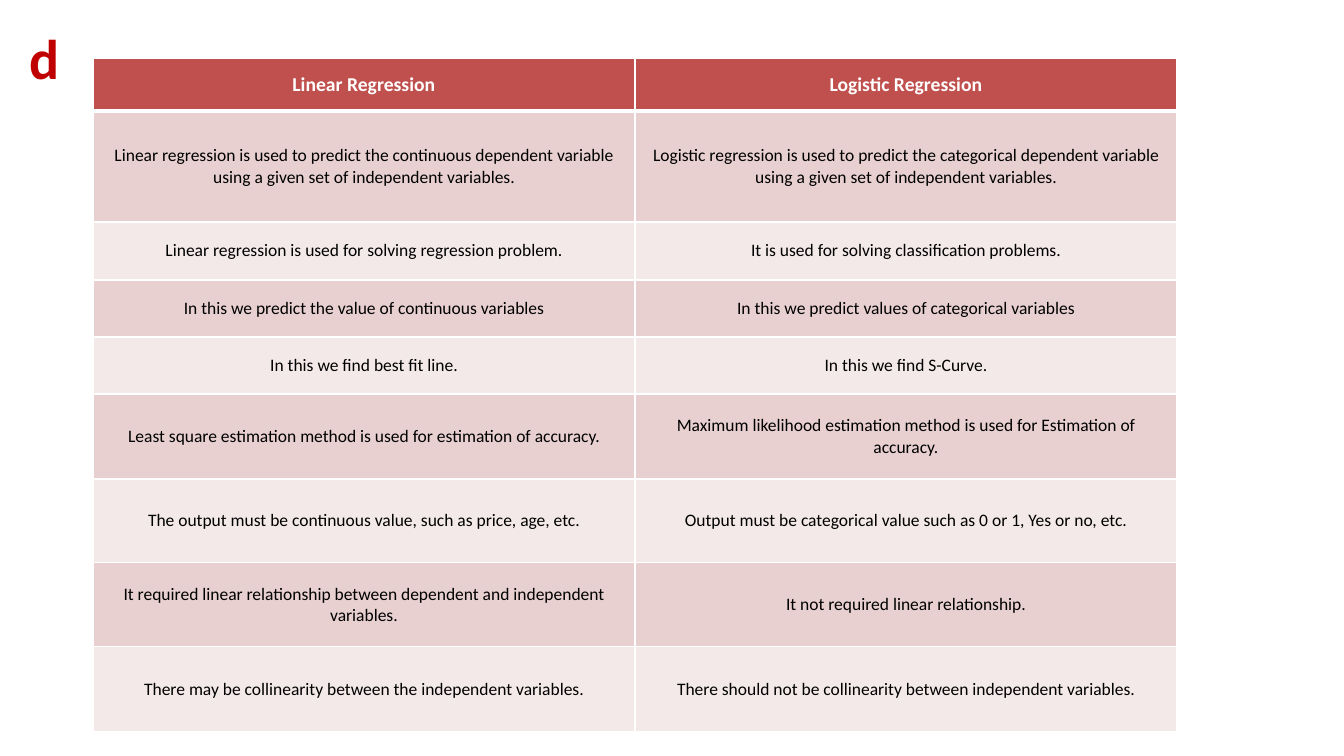
import pptx
import pptx.util
import pptx.dml.color
import pptx.enum.text
import pptx.oxml.ns
from lxml import etree

SCALE = 914400 / 100.8
HUES = {"red": "C00000", "head": "C0504D", "dark": "E8D0D0",
        "light": "F4E9E9", "white": "FFFFFF", "black": "000000"}


def px(num):
    return pptx.util.Emu(round(num * SCALE))


def write(para, text, size, hue, bold):
    run = para.add_run()
    run.text = text
    run.font.name = "Calibri"
    run.font.size = pptx.util.Pt(size)
    run.font.bold = bold
    run.font.color.rgb = pptx.dml.color.RGBColor.from_string(HUES[hue])


deck = pptx.Presentation()
deck.slide_width, deck.slide_height = px(1344), px(756)
slide = deck.slides.add_slide(deck.slide_layouts[6])

# Title
title = slide.shapes.add_textbox(px(30), px(23), px(1283), px(68)).text_frame
title.word_wrap = True
title.margin_left = title.margin_top = title.margin_right = title.margin_bottom = 0
write(title.paragraphs[0], "d", 40, "red", True)

# Table content
rows = [
    ("Linear Regression", "Logistic Regression"),
    ("Linear regression is used to predict the continuous dependent variable using a given set of independent variables.",
     "Logistic regression is used to predict the categorical dependent variable using a given set of independent variables."),
    ("Linear regression is used for solving regression problem.",
     "It is used for solving classification problems."),
    ("In this we predict the value of continuous variables",
     "In this we predict values of categorical variables"),
    ("In this we find best fit line.", "In this we find S-Curve."),
    ("Least square estimation method is used for estimation of accuracy.",
     "Maximum likelihood estimation method is used for Estimation of accuracy."),
    ("The output must be continuous value, such as price, age, etc.",
     "Output must be categorical value such as 0 or 1, Yes or no, etc."),
    ("It required linear relationship between dependent and independent variables.",
     "It not required linear relationship."),
    ("There may be collinearity between the independent variables.",
     "There should not be collinearity between independent variables."),
]
highs = [53, 111, 58, 57, 57, 85, 84, 84, 85]

# Table grid
table = slide.shapes.add_table(len(rows), 2, px(93), px(58), px(1084), px(sum(highs))).table
for col in table.columns:
    col.width = px(542)

for i, texts in enumerate(rows):
    table.rows[i].height = px(highs[i])
    head = i == 0
    for j, text in enumerate(texts):
        cell = table.cell(i, j)
        cell.vertical_anchor = pptx.enum.text.MSO_ANCHOR.MIDDLE
        cell.margin_left = cell.margin_right = px(4 if head and j == 0 else 8)
        cell.margin_top = cell.margin_bottom = px(8 if head else 12)
        para = cell.text_frame.paragraphs[0]
        para.alignment = pptx.enum.text.PP_ALIGN.CENTER
        write(para, text, 14 if head else 12.5, "white" if head else "black", head)

        # White borders, thicker under the header
        props = cell._tc.get_or_add_tcPr()
        for side in "LRTB":
            thick = (head and side == "B") or (i == 1 and side == "T")
            line = etree.SubElement(props, pptx.oxml.ns.qn("a:ln" + side),
                                    w=str(pptx.util.Pt(3 if thick else 1)))
            fill = etree.SubElement(line, pptx.oxml.ns.qn("a:solidFill"))
            etree.SubElement(fill, pptx.oxml.ns.qn("a:srgbClr"), val=HUES["white"])
        cell.fill.solid()
        hue = "head" if head else "dark" if i % 2 else "light"
        cell.fill.fore_color.rgb = pptx.dml.color.RGBColor.from_string(HUES[hue])

deck.save("out.pptx")
